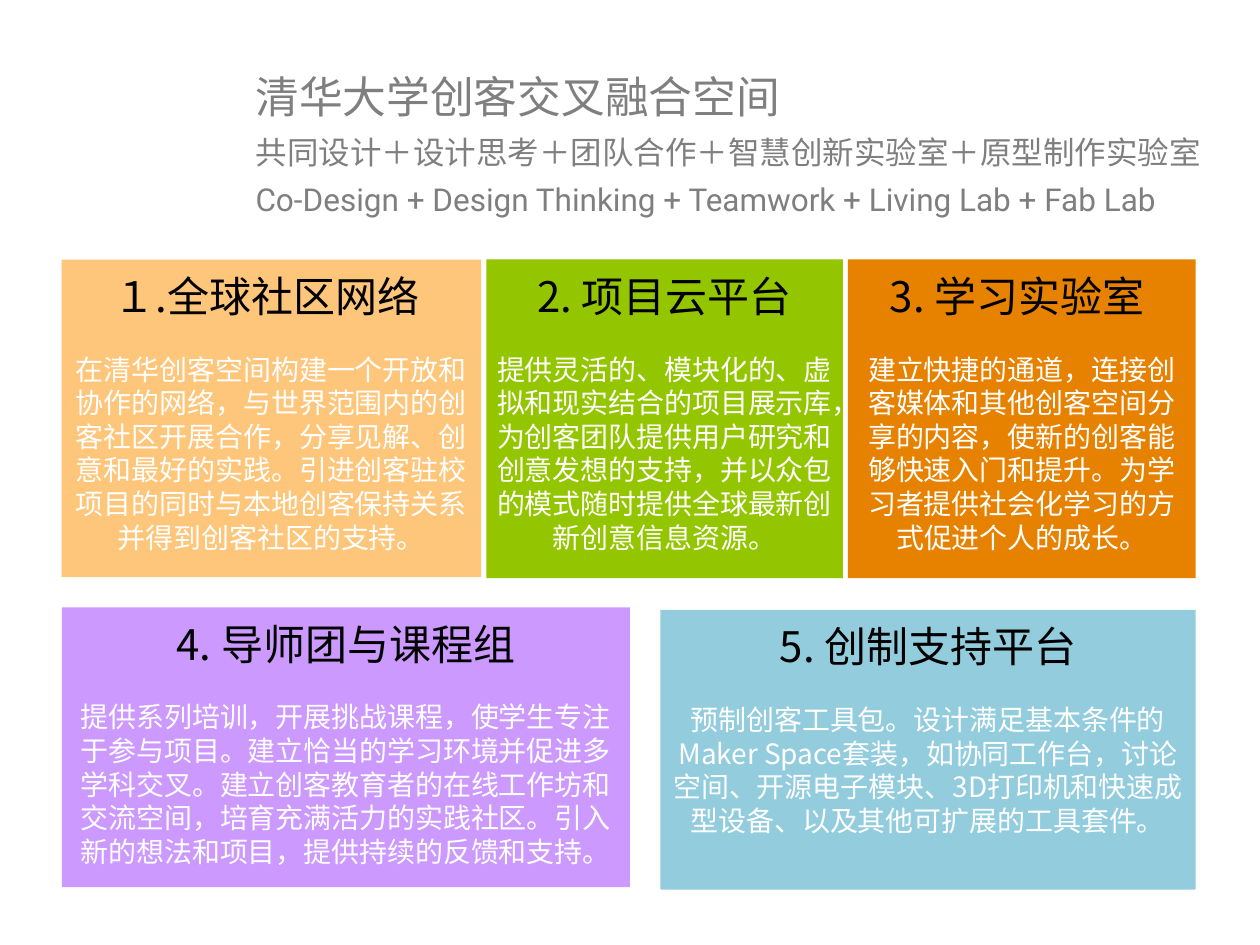
from lxml import etree
from pptx import Presentation
from pptx.dml.color import RGBColor
from pptx.enum.shapes import MSO_SHAPE
from pptx.enum.text import MSO_ANCHOR, PP_ALIGN
from pptx.oxml.ns import qn
from pptx.util import Inches, Pt

RECTANGLE = MSO_SHAPE.RECTANGLE
TOP = MSO_ANCHOR.TOP
LEFT, CENTER = PP_ALIGN.LEFT, PP_ALIGN.CENTER

CJK_SC, CJK_JP, LATIN = "Noto Sans CJK SC", "Noto Sans CJK JP", "Roboto"

COLORS = {
    "title": "7F7F7F",
    "heading": "000000",
    "body": "FFFFFF",
    "network": "FEC67A",
    "cloud": "94C600",
    "learning": "E68200",
    "mentors": "CC99FF",
    "making": "93CDDD",
}

# Text, size, font, line height in points
TITLE_LINES = [
    ("清华大学创客交叉融合空间", 25, CJK_JP, 41),
    ("共同设计＋设计思考＋团队合作＋智慧创新实验室＋原型制作实验室", 18, CJK_SC, 28),
    ("Co-Design + Design Thinking + Teamwork + Living Lab + Fab Lab", 18, LATIN, 26.6),
]

# Color, left, top, width, height, side inset, heading, body
CARDS = [
    ("network", 0.49, 2.06, 3.33, 2.52, 0.08, "１.全球社区网络 ",
     "在清华创客空间构建一个开放和协作的网络，与世界范围内的创客社区开展合作，"
     "分享见解、创意和最好的实践。引进创客驻校项目的同时与本地创客保持关系"
     "并得到创客社区的支持。"),
    ("cloud", 3.86, 2.06, 2.83, 2.53, 0.08, "2. 项目云平台",
     "提供灵活的、模块化的、虚拟和现实结合的项目展示库，为创客团队提供用户研究"
     "和创意发想的支持，并以众包的模式随时提供全球最新创新创意信息资源。"),
    ("learning", 6.73, 2.06, 2.76, 2.53, 0.1, "3. 学习实验室 ",
     "建立快捷的通道，连接创客媒体和其他创客空间分享的内容，使新的创客能够快速"
     "入门和提升。为学习者提供社会化学习的方式促进个人的成长。"),
    ("mentors", 0.49, 4.82, 4.51, 2.22, 0.1, "4. 导师团与课程组",
     "提供系列培训，开展挑战课程，使学生专注于参与项目。建立恰当的学习环境并促进"
     "多学科交叉。建立创客教育者的在线工作坊和交流空间，培育充满活力的实践社区。"
     "引入新的想法和项目，提供持续的反馈和支持。"),
    ("making", 5.24, 4.84, 4.25, 2.22, 0.1, "5. 创制支持平台",
     "预制创客工具包。设计满足基本条件的Maker Space套装，如协同工作台，讨论空间、"
     "开源电子模块、3D打印机和快速成型设备、以及其他可扩展的工具套件。"),
]


def color(name):
    return RGBColor.from_string(COLORS[name])


def prepare_frame(shape, side_inset):
    frame = shape.text_frame
    frame.word_wrap = True
    frame.vertical_anchor = TOP
    frame.margin_left = frame.margin_right = Inches(side_inset)
    frame.margin_top = frame.margin_bottom = Inches(0.05)
    return frame


def write_paragraph(paragraph, text, size, font_name, color_name, line_height, alignment):
    paragraph.alignment = alignment
    paragraph.line_spacing = Pt(line_height)
    run = paragraph.add_run()
    run.text = text
    run.font.size = Pt(size)
    run.font.color.rgb = color(color_name)
    run.font.name = font_name
    # East Asian characters take their own typeface
    east_asian = etree.SubElement(run.font._element, qn("a:ea"))
    east_asian.set("typeface", font_name)


def add_title(slide):
    box = slide.shapes.add_textbox(Inches(1.93), Inches(0.35), Inches(8.07), Inches(1.43))
    frame = prepare_frame(box, 0.1)
    for index, (text, size, font_name, line_height) in enumerate(TITLE_LINES):
        paragraph = frame.add_paragraph() if index else frame.paragraphs[0]
        write_paragraph(paragraph, text, size, font_name, "title", line_height, LEFT)


def add_card(slide, fill, left, top, width, height, side_inset, heading, body):
    card = slide.shapes.add_shape(
        RECTANGLE, Inches(left), Inches(top), Inches(width), Inches(height))
    card.shadow.inherit = False
    card.fill.solid()
    card.fill.fore_color.rgb = color(fill)
    card.line.fill.background()
    frame = prepare_frame(card, side_inset)
    write_paragraph(frame.paragraphs[0], heading, 24, CJK_SC, "heading", 31.4, CENTER)
    body_paragraph = frame.add_paragraph()
    body_paragraph.space_before = Pt(18)
    write_paragraph(body_paragraph, body, 16, CJK_SC, "body", 19.2, CENTER)


def main():
    presentation = Presentation()
    presentation.slide_width = Inches(10)
    presentation.slide_height = Inches(7.5)
    slide = presentation.slides.add_slide(presentation.slide_layouts[6])

    # Five building blocks below the title
    for card in CARDS:
        add_card(slide, *card)
    add_title(slide)

    presentation.save("out.pptx")


if __name__ == "__main__":
    main()
